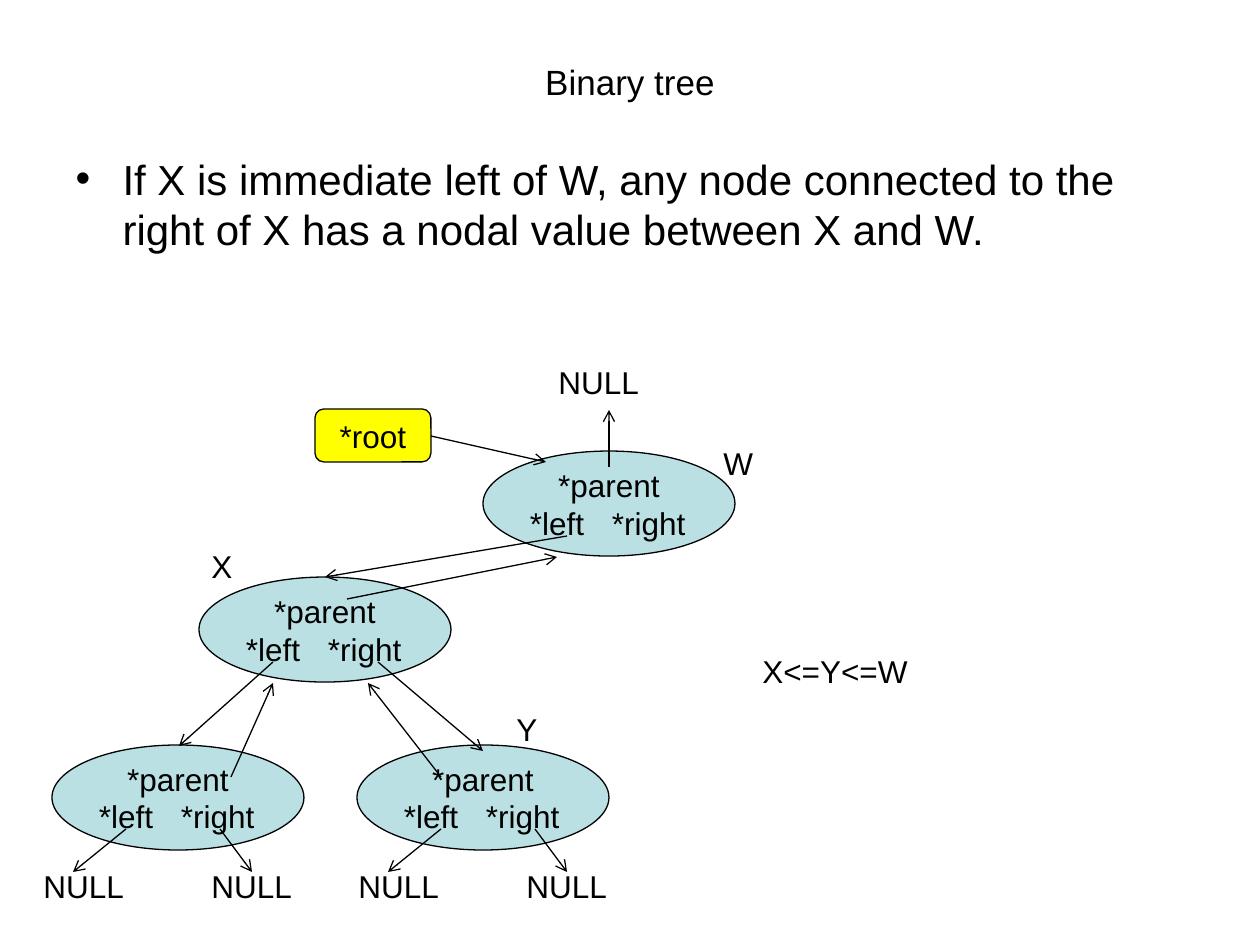
from dataclasses import dataclass

from pptx import Presentation
from pptx.dml.color import RGBColor
from pptx.enum.shapes import MSO_CONNECTOR, MSO_SHAPE
from pptx.enum.text import MSO_ANCHOR, MSO_AUTO_SIZE, PP_ALIGN
from pptx.oxml.ns import qn
from pptx.util import Inches, Pt
from lxml import etree

ELLIPSE, ROUNDED = MSO_SHAPE.OVAL, MSO_SHAPE.ROUNDED_RECTANGLE
STRAIGHT = MSO_CONNECTOR.STRAIGHT
LEFT, CENTER = PP_ALIGN.LEFT, PP_ALIGN.CENTER
MIDDLE, TOP = MSO_ANCHOR.MIDDLE, MSO_ANCHOR.TOP
NO_FIT, GROW = MSO_AUTO_SIZE.NONE, MSO_AUTO_SIZE.SHAPE_TO_FIT_TEXT

WIDTH, HEIGHT = 1260, 945
SCALE = Inches(10) / WIDTH


def emu(px):
    return round(px * SCALE)


@dataclass(frozen=True)
class Theme:
    font: str = "Arial"
    ink: RGBColor = RGBColor(0x00, 0x00, 0x00)
    node: RGBColor = RGBColor(0xBB, 0xE0, 0xE3)
    root: RGBColor = RGBColor(0xFF, 0xFF, 0x00)
    title_size: int = 20
    body_size: int = 24
    label_size: int = 18
    line_width: float = 0.75


class TreeSlide:
    def __init__(self, slide, theme):
        self.slide = slide
        self.theme = theme

    def style_text(self, frame, size, alignment):
        for paragraph in frame.paragraphs:
            paragraph.alignment = alignment
            for run in paragraph.runs:
                run.font.name = self.theme.font
                run.font.size = Pt(size)
                run.font.color.rgb = self.theme.ink

    def place(self, holder, box):
        holder.left, holder.top, holder.width, holder.height = map(emu, box)
        holder.text_frame.auto_size = NO_FIT

    def title(self, text, box):
        holder = self.slide.shapes.title
        self.place(holder, box)
        holder.text_frame.text = text
        holder.text_frame.vertical_anchor = MIDDLE
        self.style_text(holder.text_frame, self.theme.title_size, CENTER)

    def bullet(self, text, box, indent):
        holder = self.slide.placeholders[1]
        self.place(holder, box)
        frame = holder.text_frame
        frame.text = text
        frame.vertical_anchor = TOP
        paragraph = frame.paragraphs[0]
        paragraph.space_before = Pt(0)
        properties = paragraph._p.get_or_add_pPr()
        properties.set("marL", str(emu(indent)))
        properties.set("indent", str(-emu(indent)))
        etree.SubElement(properties, qn("a:buChar")).set("char", "•")
        self.style_text(frame, self.theme.body_size, LEFT)

    def label(self, text, box, wrap=True):
        label = self.slide.shapes.add_textbox(*map(emu, box))
        frame = label.text_frame
        frame.word_wrap = wrap
        frame.auto_size = GROW
        frame.text = text
        self.style_text(frame, self.theme.label_size, LEFT)

    def outlined(self, kind, text, box, fill, side_margin):
        shape = self.slide.shapes.add_shape(kind, *map(emu, box))
        shape.shadow.inherit = False
        shape.fill.solid()
        shape.fill.fore_color.rgb = fill
        shape.line.color.rgb = self.theme.ink
        shape.line.width = Pt(self.theme.line_width)
        frame = shape.text_frame
        frame.margin_left = frame.margin_right = emu(side_margin)
        frame.margin_top = frame.margin_bottom = 0
        frame.vertical_anchor = MIDDLE
        frame.word_wrap = True
        frame.text = text
        self.style_text(frame, self.theme.label_size, CENTER)
        return frame

    def root(self, text, box):
        self.outlined(ROUNDED, text, box, self.theme.root, 6)

    def node(self, left, top):
        frame = self.outlined(ELLIPSE, "*parent\n*left\t*right",
                              (left, top, 252, 105), self.theme.node, 10)
        # The two child pointers are set apart by a tab stop
        children = frame.paragraphs[1]
        children.alignment = LEFT
        tabs = etree.SubElement(children._p.get_or_add_pPr(), qn("a:tabLst"))
        stop = etree.SubElement(tabs, qn("a:tab"))
        stop.set("pos", str(emu(82)))
        stop.set("algn", "l")

    def arrow(self, start, end):
        arrow = self.slide.shapes.add_connector(
            STRAIGHT, *map(emu, (*start, *end)))
        arrow.line.color.rgb = self.theme.ink
        arrow.line.width = Pt(self.theme.line_width)
        etree.SubElement(arrow.line._get_or_add_ln(),
                         qn("a:tailEnd")).set("type", "arrow")
        etree.SubElement(arrow._element.spPr, qn("a:effectLst"))


def main():
    deck = Presentation()
    deck.slide_width, deck.slide_height = emu(WIDTH), emu(HEIGHT)
    tree = TreeSlide(deck.slides.add_slide(deck.slide_layouts[1]), Theme())

    # Heading and rule
    tree.title("Binary tree", (63, 38, 1134, 88))
    tree.bullet("If X is immediate left of W, any node connected to the "
                "right of X has a nodal value between X and W.",
                (63, 147, 1134, 697), indent=47)

    # Root pointer and the four nodes
    tree.root("*root", (315, 409, 116, 53))
    for corner in ((483, 451), (199, 577), (52, 745), (357, 745)):
        tree.node(*corner)

    # Links between root, parents and children
    links = (
        ((431, 436), (546, 462)),
        ((609, 467), (609, 410)),
        ((567, 536), (325, 577)),
        ((347, 599), (557, 557)),
        ((273, 662), (179, 746)),
        ((378, 662), (483, 751)),
        ((231, 777), (273, 683)),
        ((441, 777), (368, 683)),
    )
    for start, end in links:
        tree.arrow(start, end)

    # Empty children of the two leaves
    tree.label("NULL", (546, 357, 126, 53))
    for leaf in (0, 315):
        for start, end, null_left in ((126, 73, 31), (220, 252, 199)):
            tree.arrow((leaf + start, 829), (leaf + end, 872))
            tree.label("NULL", (leaf + null_left, 861, 126, 53))

    # Node names and their order
    for name, left, top in (("X", 199, 541), ("Y", 504, 704), ("W", 711, 438)):
        tree.label(name, (left, top, 156, 50))
    tree.label("X<=Y<=W", (750, 646, 173, 50), wrap=False)

    deck.save("out.pptx")


if __name__ == "__main__":
    main()
